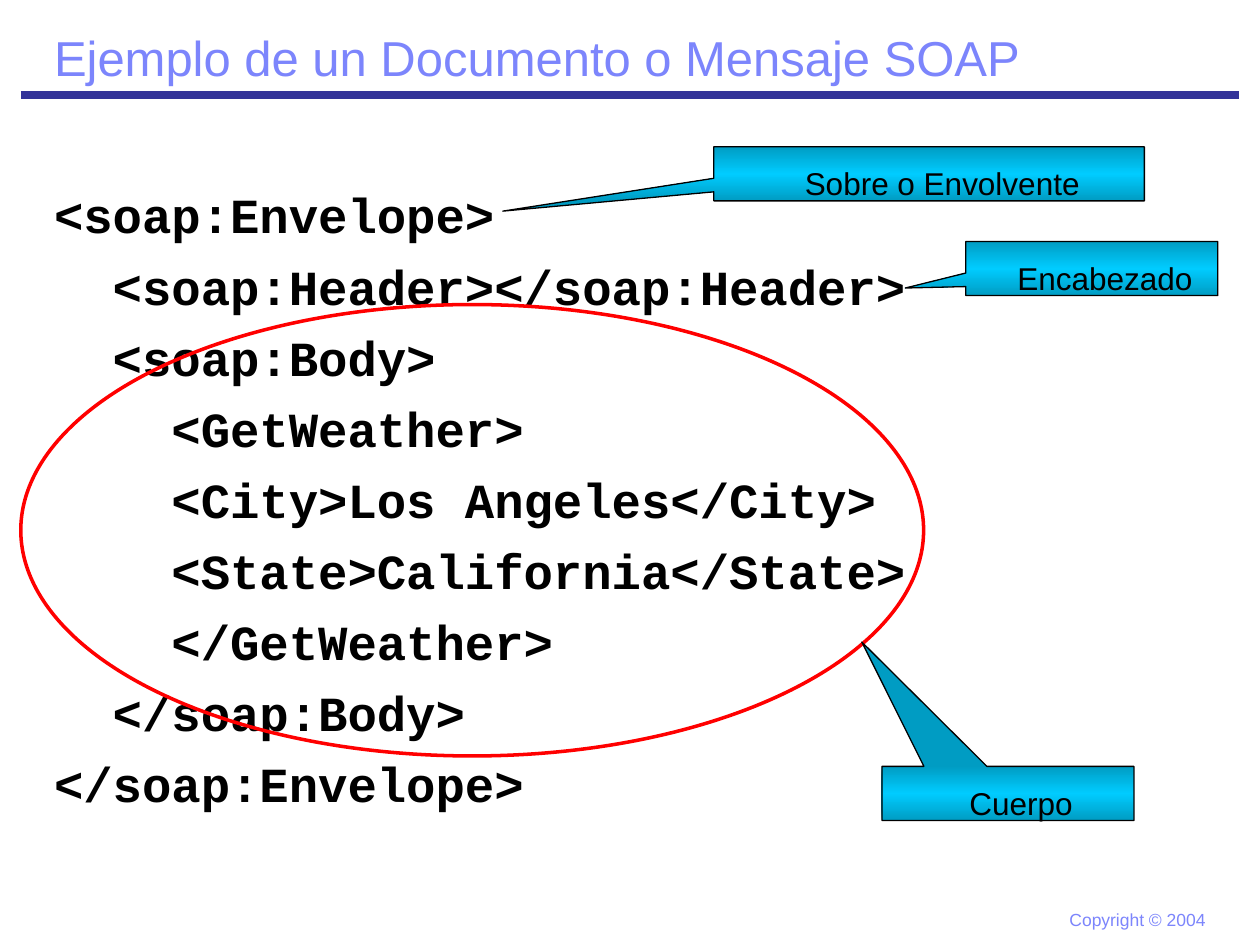
from pptx import Presentation, util as u
from pptx.dml import color
from pptx.enum import shapes, text
from pptx.oxml import parse_xml, ns
from lxml import etree

COLORS = {"title": "7C85FC", "rule": "333399", "code": "000000", "outline": "000000",
          "ring": "FF0000", "edge": "009CC3", "middle": "00CCFF"}
ALIGN = text.PP_ALIGN
ANCHOR = text.MSO_ANCHOR


def rgb(name):
    return color.RGBColor.from_string(COLORS[name])


def write(frame, lines, size, ink, font="Arial", bold=False, align=ALIGN.LEFT,
          anchor=ANCHOR.TOP, gap=0, wrap=True, margins=(0.25, 0.13, 0.25, 0.13)):
    frame.word_wrap = wrap
    frame.auto_size = text.MSO_AUTO_SIZE.NONE
    frame.vertical_anchor = anchor
    (frame.margin_left, frame.margin_top,
     frame.margin_right, frame.margin_bottom) = [u.Cm(m) for m in margins]
    for number, line in enumerate(lines):
        paragraph = frame.add_paragraph() if number else frame.paragraphs[0]
        paragraph.alignment = align
        paragraph.space_before = u.Pt(gap if number else 0)
        run = paragraph.add_run()
        run.text = line
        run.font.name = font
        run.font.size = u.Pt(size)
        run.font.bold = bold
        run.font.color.rgb = rgb(ink)


deck = Presentation()
deck.slide_width, deck.slide_height = u.Cm(25.4), u.Cm(19.05)
slide = deck.slides.add_slide(deck.slide_layouts[5])

rule = slide.shapes.add_connector(shapes.MSO_CONNECTOR.STRAIGHT,
                                  u.Cm(0.42), u.Cm(1.91), u.Cm(24.98), u.Cm(1.91))
rule.line.color.rgb = rgb("rule")
rule.line.width = u.Pt(4.5)
etree.SubElement(rule._element.spPr, ns.qn("a:effectLst"))

rights = slide.shapes.add_textbox(u.Cm(21.31), u.Cm(18.2), u.Cm(3.25), u.Cm(0.69))
write(rights.text_frame, ["Copyright © 2004"], 10, "title", wrap=False)

title = slide.shapes.title
title.left, title.top, title.width, title.height = u.Cm(0.84), u.Cm(0.41), u.Cm(23.7), u.Cm(1.47)
write(title.text_frame, ["Ejemplo de un Documento o Mensaje SOAP"], 28, "title",
      anchor=ANCHOR.BOTTOM)

message = slide.shapes.add_textbox(u.Cm(0.84), u.Cm(3.6), u.Cm(24.13), u.Cm(14.18))
write(message.text_frame, [
    "<soap:Envelope>",
    "  <soap:Header></soap:Header>",
    "  <soap:Body>",
    "    <GetWeather>",
    "    <City>Los Angeles</City>",
    "    <State>California</State>",
    "    </GetWeather>",
    "  </soap:Body>",
    "</soap:Envelope>",
], 28, "code", font="Courier New", bold=True, gap=7)

ring = slide.shapes.add_shape(shapes.MSO_SHAPE.OVAL,
                              u.Cm(0.42), u.Cm(6.14), u.Cm(18.2), u.Cm(9.1))
ring.shadow.inherit = False
ring.fill.background()
ring.line.color.rgb = rgb("ring")
ring.line.width = u.Pt(2)

for label, left, top, width, tip in [
    ("Sobre o Envolvente", 14.39, 2.96, 8.68, (-0.99, 0.69)),
    ("Encabezado", 19.47, 4.87, 5.08, (-0.74, 0.36)),
    ("Cuerpo", 17.78, 15.45, 5.08, (-0.58, -2.8)),
]:
    callout = slide.shapes.add_shape(shapes.MSO_SHAPE.RECTANGULAR_CALLOUT,
                                     u.Cm(left), u.Cm(top), u.Cm(width), u.Cm(1.09))
    callout.adjustments[0], callout.adjustments[1] = tip
    callout.shadow.inherit = False
    callout.fill.gradient()
    callout.fill.gradient_angle = 90
    stops = callout._element.spPr.find(".//" + ns.qn("a:gsLst"))
    stops.clear()
    for position, tone in [(0, "edge"), (50, "middle"), (100, "edge")]:
        stops.append(parse_xml(f'<a:gs {ns.nsdecls("a")} pos="{position * 1000}">'
                               f'<a:srgbClr val="{COLORS[tone]}"/></a:gs>'))
    callout.line.color.rgb = rgb("outline")
    callout.line.width = u.Pt(0.75)
    write(callout.text_frame, [label], 18, "code", align=ALIGN.CENTER,
          anchor=ANCHOR.MIDDLE, margins=(0.53, 0.38, 0, 0))

deck.save("out.pptx")
